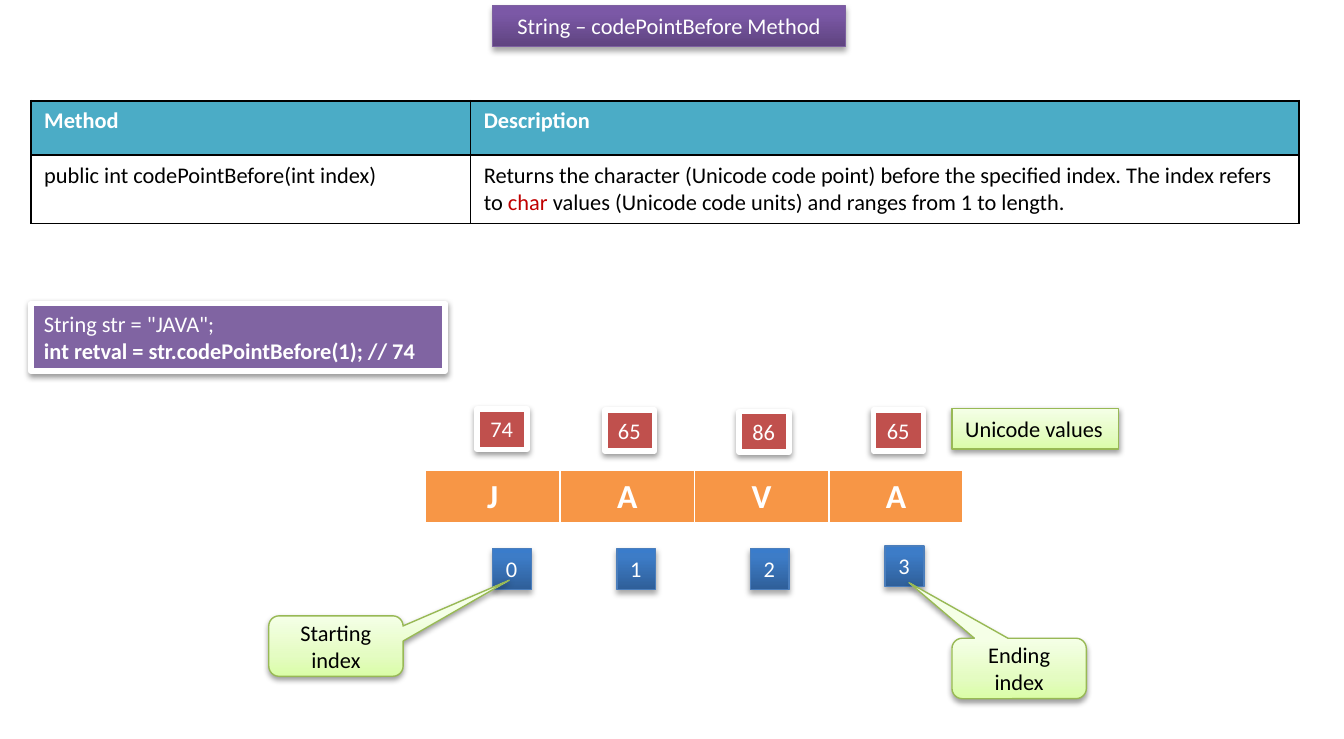
from lxml.etree import SubElement
from pptx import Presentation
from pptx.dml.color import RGBColor
from pptx.enum.shapes import MSO_SHAPE
from pptx.enum.text import MSO_ANCHOR, PP_ALIGN
from pptx.oxml.ns import qn
from pptx.util import Pt

COLORS = {
    "white": "FFFFFF", "black": "000000", "keyword": "C00000",
    "header": "4BACC6", "letter": "F79646", "unicode": "C0504D", "code": "8064A2",
    "title_line": "7D60A0", "index_line": "4B7EBC", "note_line": "98B955",
}
# Gradients run from bottom to top: (position in percent, colour)
GRADIENTS = {
    "title": [(0, "5F4480"), (80, "7B58A6"), (100, "7C57A8")],
    "index": [(0, "2F5F99"), (80, "3D7CC7"), (100, "3A7CCB")],
    "note": [(0, "DAFDA7"), (35, "E4FCC2"), (100, "F5FFE7")],
}
# Shadows: opacity in percent, distance in points
DEEP_SHADOW = (35, 1.8)
SOFT_SHADOW = (38, 1.6)

# Looks shared by the boxes
TITLE = {"fill": "title", "line": ("title_line", 0.75), "shadow": DEEP_SHADOW, "color": "white"}
INDEX = {"fill": "index", "line": ("index_line", 0.75), "shadow": DEEP_SHADOW, "color": "white"}
NOTE = {"fill": "note", "line": ("note_line", 0.75), "shadow": SOFT_SHADOW, "color": "black"}
UNICODE = {"fill": "unicode", "line": ("white", 3), "shadow": SOFT_SHADOW, "color": "white"}
CODE = {**UNICODE, "fill": "code"}


class SlideBuilder:
    def __init__(self, slide):
        self.slide = slide
        self.font = {"name": "Calibri", "size": Pt(12), "bold": False}

    def add_text(self, frame, paragraphs, color, align=PP_ALIGN.LEFT, **font):
        """Each paragraph is a list of (text, overrides) runs."""
        for number, runs in enumerate(paragraphs):
            paragraph = frame.add_paragraph() if number else frame.paragraphs[0]
            paragraph.alignment = align
            for text, changes in runs:
                values = {**self.font, "color": color, **font, **changes}
                run = paragraph.add_run()
                run.text = text
                run.font.color.rgb = RGBColor.from_string(COLORS[values.pop("color")])
                for name, value in values.items():
                    setattr(run.font, name, value)

    def paint(self, shape, fill):
        if fill not in GRADIENTS:
            shape.fill.solid()
            shape.fill.fore_color.rgb = RGBColor.from_string(COLORS[fill])
            return
        shape.fill.gradient()
        shape.fill.gradient_angle = 90
        stops = shape.element.spPr.find(".//" + qn("a:gsLst"))
        stops.clear()
        for position, color in GRADIENTS[fill]:
            stop = SubElement(stops, qn("a:gs"), pos=str(position * 1000))
            SubElement(stop, qn("a:srgbClr"), val=color)

    def cast_shadow(self, shape, opacity, distance):
        shape.shadow.inherit = False
        effects = shape.element.spPr.find(qn("a:effectLst"))
        shadow = SubElement(effects, qn("a:outerShdw"), blurRad=str(Pt(3.1)),
                            dist=str(Pt(distance)), dir="5400000", rotWithShape="0")
        color = SubElement(shadow, qn("a:srgbClr"), val=COLORS["black"])
        SubElement(color, qn("a:alpha"), val=str(opacity * 1000))

    def box(self, bounds, paragraphs, look, kind=MSO_SHAPE.RECTANGLE, wrap=False,
            align=PP_ALIGN.LEFT, anchor=MSO_ANCHOR.TOP):
        shape = self.slide.shapes.add_shape(kind, *map(Pt, bounds))
        self.paint(shape, look["fill"])
        line_color, line_width = look["line"]
        shape.line.color.rgb = RGBColor.from_string(COLORS[line_color])
        shape.line.width = Pt(line_width)
        self.cast_shadow(shape, *look["shadow"])
        shape.text_frame.word_wrap = wrap
        shape.text_frame.vertical_anchor = anchor
        self.add_text(shape.text_frame, paragraphs, look["color"], align)
        return shape

    def callout(self, left, top, text, tip):
        shape = self.box((left, top, 72, 32.4), [[(text, {})]], NOTE,
                         MSO_SHAPE.ROUNDED_RECTANGULAR_CALLOUT, wrap=True,
                         align=PP_ALIGN.CENTER, anchor=MSO_ANCHOR.MIDDLE)
        for number, value in enumerate((*tip, 0.17)):
            shape.adjustments[number] = value

    def table(self, left, top, widths, heights):
        frame = self.slide.shapes.add_table(
            len(heights), len(widths), Pt(left), Pt(top), Pt(sum(widths)), Pt(sum(heights)))
        table = frame.table
        table.first_row = table.horz_banding = False
        for column, width in zip(table.columns, widths):
            column.width = Pt(width)
        for row, height in zip(table.rows, heights):
            row.height = Pt(height)
        return table

    def cell(self, cell, runs, fill, color, border, bottom=1, **style):
        properties = cell._tc.get_or_add_tcPr()
        for side, width in {"L": 1, "R": 1, "T": 1, "B": bottom}.items():
            line = SubElement(properties, qn(f"a:ln{side}"), w=str(Pt(width)))
            SubElement(SubElement(line, qn("a:solidFill")), qn("a:srgbClr"), val=COLORS[border])
        cell.fill.solid()
        cell.fill.fore_color.rgb = RGBColor.from_string(COLORS[fill])
        self.add_text(cell.text_frame, [runs], color, **style)


def main():
    presentation = Presentation()
    presentation.slide_width, presentation.slide_height = Pt(720), Pt(396)
    builder = SlideBuilder(presentation.slides.add_slide(presentation.slide_layouts[6]))

    # Title
    builder.box((264, 3, 189, 21.8), [[("String – codePointBefore Method", {})]], TITLE,
                wrap=True, align=PP_ALIGN.CENTER)

    # Method description
    methods = builder.table(16.5, 54, (235.5, 444), (29.2, 36.4))
    description = [
        ("Returns the character (Unicode code point) before the specified index. "
         "The index refers to ", {}),
        ("char", {"color": "keyword"}),
        (" values (Unicode code units) and ranges from 1 to length.", {}),
    ]
    signature = [("public int codePointBefore(int index)", {})]
    for column, (heading, body) in enumerate([("Method", signature),
                                              ("Description", description)]):
        builder.cell(methods.cell(0, column), [(heading, {})], "header", "white", "black",
                     bold=True)
        builder.cell(methods.cell(1, column), body, "white", "black", "black")

    # Letters of the string
    letters = builder.table(228, 252, [72] * 4, [29.2])
    for column, letter in enumerate("JAVA"):
        builder.cell(letters.cell(0, column), [(letter, {})], "letter", "white", "white",
                     bottom=3, align=PP_ALIGN.CENTER, size=Pt(18), bold=True)

    # Unicode value above and index below each letter
    for value, left, top in [("74", 255.6, 219), ("65", 324, 219.8),
                             ("86", 396, 220.6), ("65", 468, 219.8)]:
        builder.box((left, top, 26.7, 21.8), [[(value, {})]], UNICODE)
    for index, (left, top) in enumerate([(264, 294), (330.5, 294), (402, 294), (474.2, 292.5)]):
        builder.box((left, top, 20.8, 21.8), [[(str(index), {})]], INDEX)

    # Notes
    builder.callout(144, 330, "Starting index", (1.29, -1.09))
    builder.callout(510, 342, "Ending index", (-0.82, -1.42))
    builder.box((510, 218.9, 89.3, 21.8), [[("Unicode values", {})]], NOTE)

    # Code example
    builder.box((16.5, 162.6, 222, 36.3),
                [[('String str = "JAVA";', {})],
                 [("int retval = str.codePointBefore(1); // 74", {"bold": True})]],
                CODE, wrap=True)

    presentation.save("out.pptx")


if __name__ == "__main__":
    main()
